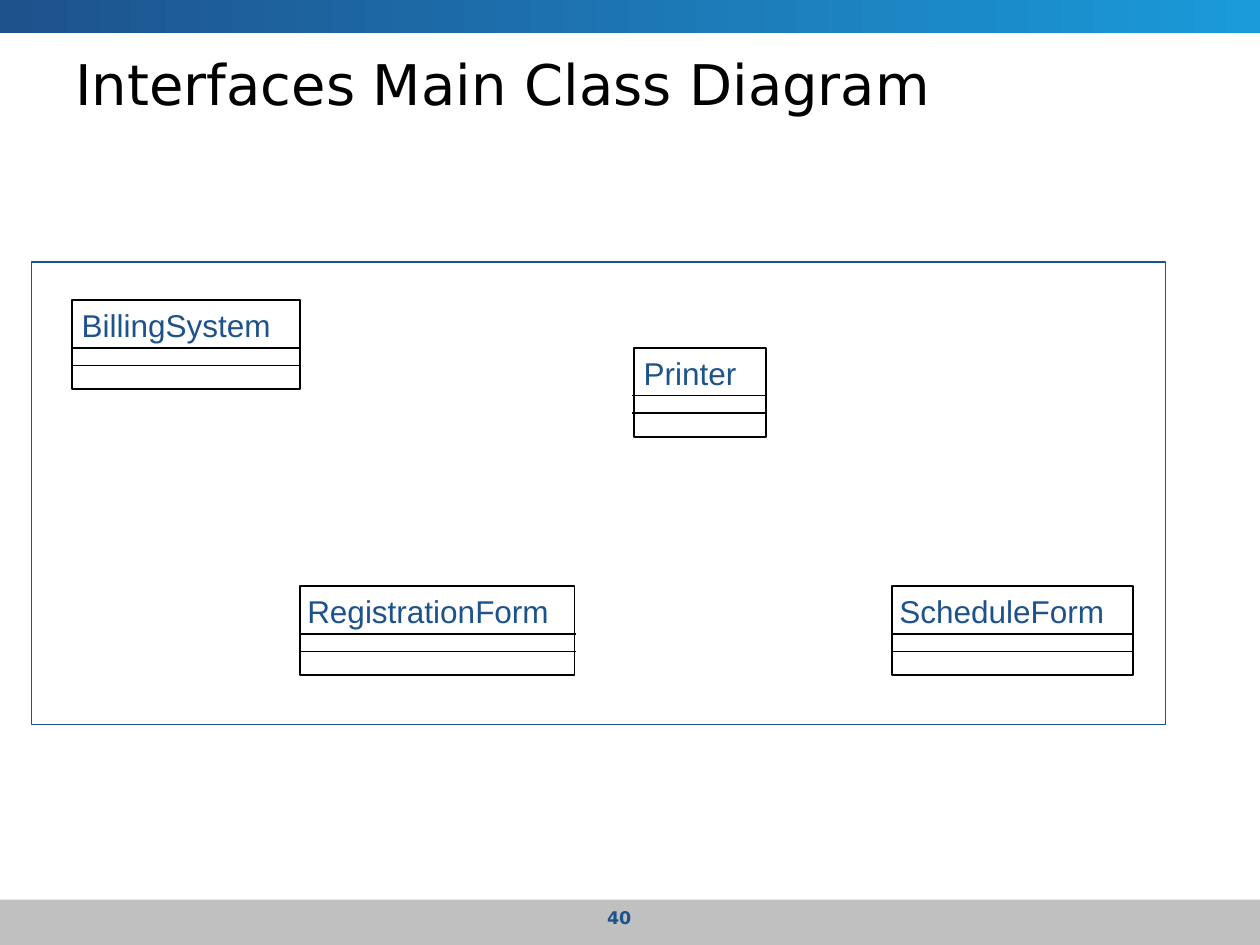
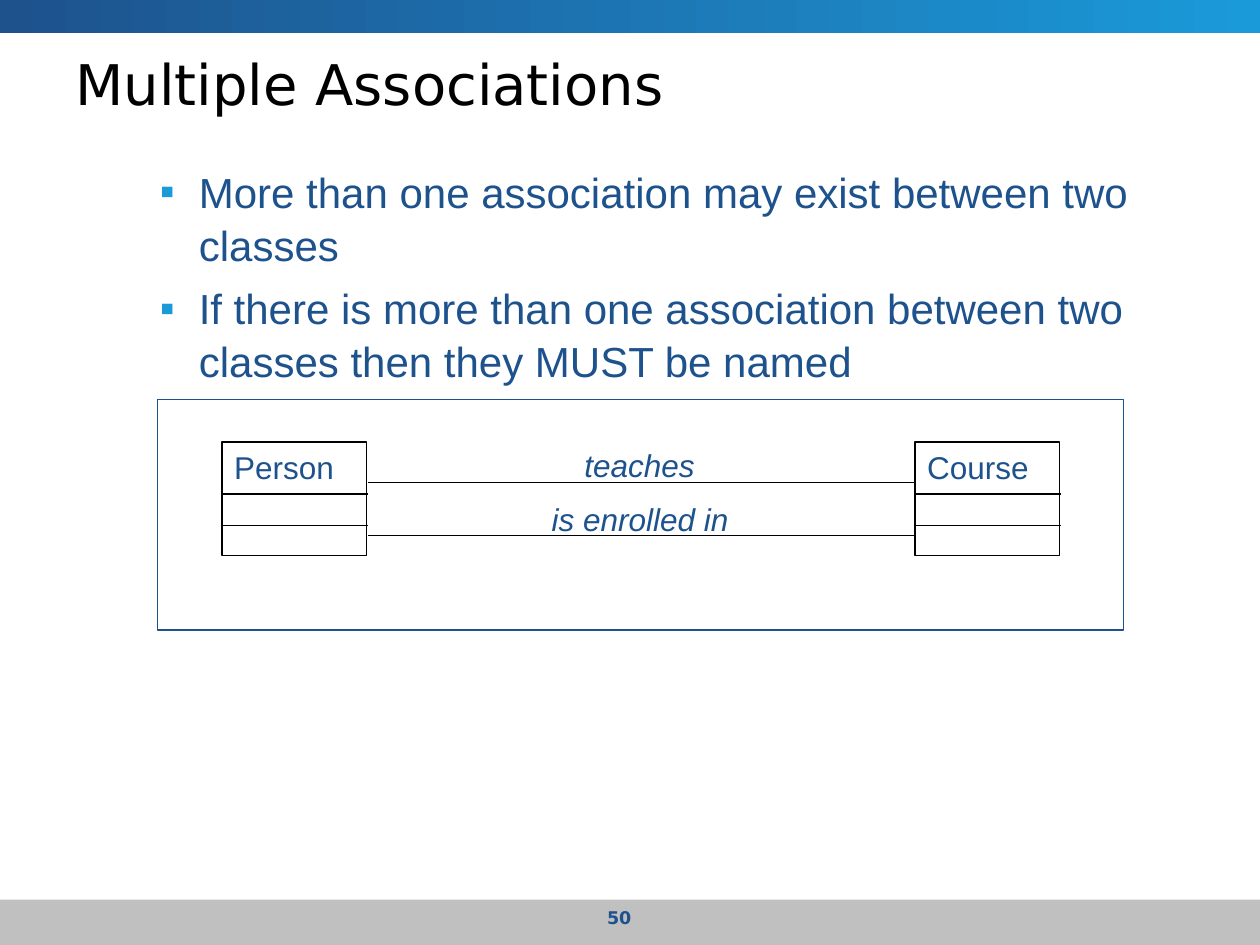
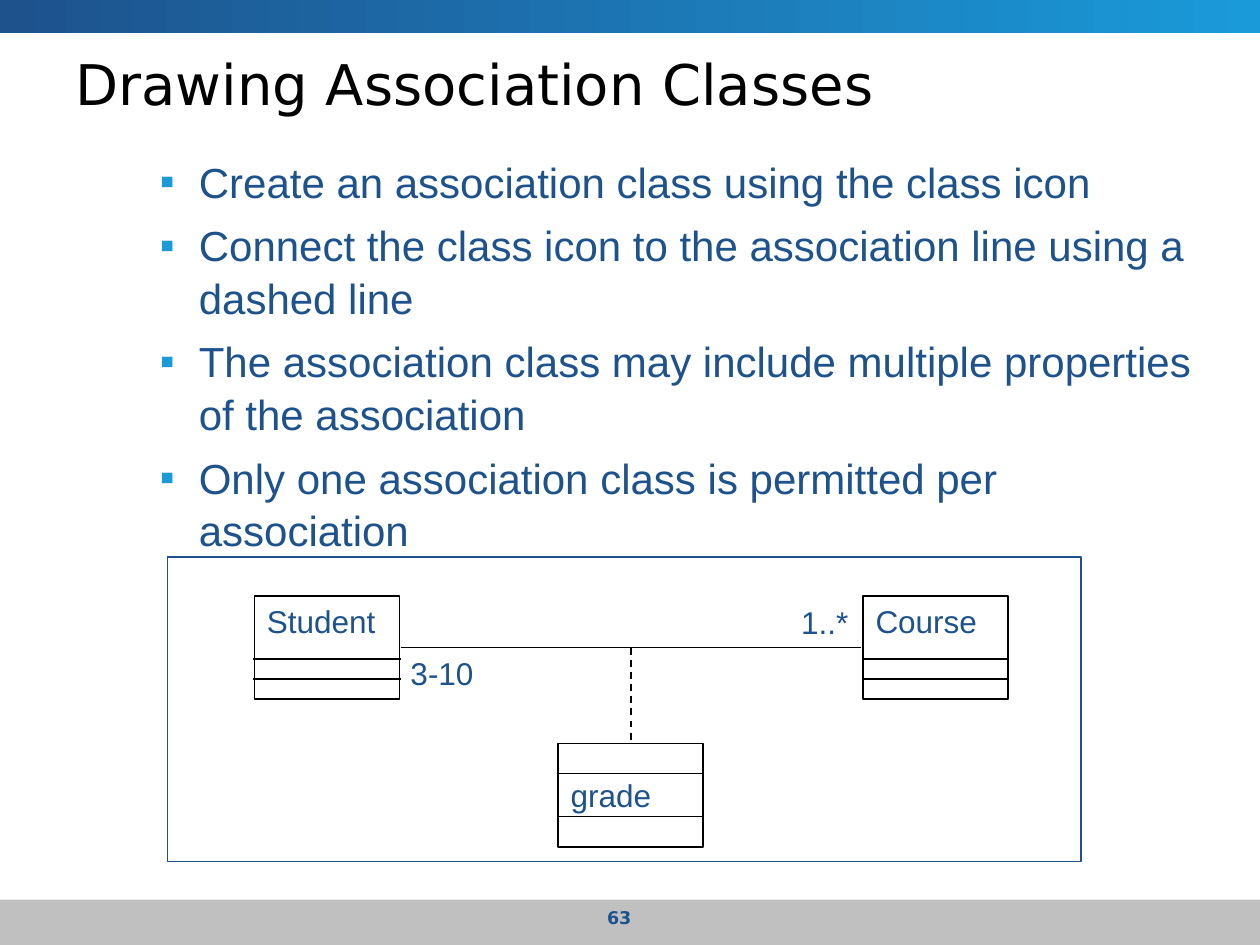
from dataclasses import dataclass

import lxml.etree
import pptx
import pptx.dml.color
import pptx.enum.dml
import pptx.enum.shapes
import pptx.enum.text
import pptx.oxml.ns
import pptx.util

Inches = pptx.util.Inches
Pt = pptx.util.Pt
qn = pptx.oxml.ns.qn
Anchor = pptx.enum.text.MSO_ANCHOR
Align = pptx.enum.text.PP_ALIGN


@dataclass(frozen=True)
class Theme:
    navy: str = "1D528D"
    sky: str = "1B9AD9"
    grey: str = "C0C0C0"
    white: str = "FFFFFF"
    black: str = "000000"
    title_font: str = "DejaVu Sans"
    body_font: str = "Arial"
    title_size: int = 32
    body_size: int = 24
    label_size: int = 18
    number_size: int = 10
    frame_line: float = 0.75
    diagram_line: float = 1


THEME = Theme()


def rgb(value):
    return pptx.dml.color.RGBColor.from_string(value)


# Basic elements
def add_rectangle(slide, left, top, width, height, fill=None, line=None, line_width=1):
    shape = slide.shapes.add_shape(
        pptx.enum.shapes.MSO_SHAPE.RECTANGLE,
        Inches(left), Inches(top), Inches(width), Inches(height))
    shape.shadow.inherit = False
    if fill:
        shape.fill.solid()
        shape.fill.fore_color.rgb = rgb(fill)
    else:
        shape.fill.background()
    if line:
        shape.line.color.rgb = rgb(line)
        shape.line.width = Pt(line_width)
    else:
        shape.line.fill.background()
    return shape


def add_line(slide, start, end, dashed=False):
    connector = slide.shapes.add_connector(
        pptx.enum.shapes.MSO_CONNECTOR.STRAIGHT,
        *(Inches(value) for value in (*start, *end)))
    connector.line.color.rgb = rgb(THEME.black)
    connector.line.width = Pt(THEME.diagram_line)
    if dashed:
        connector.line.dash_style = pptx.enum.dml.MSO_LINE.DASH
    lxml.etree.SubElement(connector._element.spPr, qn("a:effectLst"))


def add_run(paragraph, text, size, font=THEME.body_font, color=THEME.navy,
            bold=False, italic=False):
    run = paragraph.add_run()
    run.text = text
    run.font.name = font
    run.font.size = Pt(size)
    run.font.color.rgb = rgb(color)
    run.font.bold = bold
    run.font.italic = italic


def add_text_box(slide, left, top, width, height, wrap=True, anchor=Anchor.TOP):
    box = slide.shapes.add_textbox(Inches(left), Inches(top), Inches(width), Inches(height))
    box.text_frame.word_wrap = wrap
    box.text_frame.vertical_anchor = anchor
    return box.text_frame


def add_label(slide, text, left, top, width, italic=False):
    frame = add_text_box(slide, left, top, width, 0.4, wrap=False)
    add_run(frame.paragraphs[0], text, THEME.label_size, italic=italic)


# Diagram elements
def add_frame(slide, left, top, width, height):
    add_rectangle(slide, left, top, width, height, THEME.white, THEME.navy, THEME.frame_line)


def add_class_icon(slide, left, top, width, height, dividers, text=None, anchor=Anchor.TOP):
    """Class box with divider lines at the given distances below its top."""
    shape = add_rectangle(slide, left, top, width, height,
                          line=THEME.black, line_width=THEME.diagram_line)
    if text:
        frame = shape.text_frame
        frame.word_wrap = False
        frame.vertical_anchor = anchor
        frame.paragraphs[0].alignment = Align.LEFT
        add_run(frame.paragraphs[0], text, THEME.label_size)
    for offset in dividers:
        y = top + offset
        add_line(slide, (left - 0.01, y), (left + width + 0.01, y))


# Parts every slide shares
def add_slide(presentation, title, number):
    slide = presentation.slides.add_slide(presentation.slide_layouts[6])
    add_rectangle(slide, 0, 7.14, 10, 0.36, THEME.grey)
    band = add_rectangle(slide, 0, 0, 10, 0.26)
    band.fill.gradient()
    band.fill.gradient_angle = 0
    for stop, color in zip(band.fill.gradient_stops, (THEME.navy, THEME.sky)):
        stop.color.rgb = rgb(color)

    heading = add_text_box(slide, 0.5, 0.35, 9, 0.62, anchor=Anchor.MIDDLE)
    add_run(heading.paragraphs[0], title, THEME.title_size, THEME.title_font, THEME.black)

    footer = add_text_box(slide, 3.75, 7.15, 2.33, 0.28)
    footer.paragraphs[0].alignment = Align.CENTER
    add_run(footer.paragraphs[0], str(number), THEME.number_size, THEME.title_font, bold=True)
    return slide


def add_bullets(slide, left, top, width, height, items):
    frame = add_text_box(slide, left, top, width, height)
    for index, item in enumerate(items):
        paragraph = frame.add_paragraph() if index else frame.paragraphs[0]
        properties = paragraph._p.get_or_add_pPr()
        properties.set("marL", str(Inches(0.81)))
        properties.set("indent", str(Inches(-0.31)))
        color = lxml.etree.SubElement(properties, qn("a:buClr"))
        lxml.etree.SubElement(color, qn("a:srgbClr"), val=THEME.sky)
        lxml.etree.SubElement(properties, qn("a:buFont"), typeface=THEME.body_font)
        lxml.etree.SubElement(properties, qn("a:buChar"), char="▪")
        paragraph.line_spacing = 1.05
        if index:
            paragraph.space_before = Pt(6)
        add_run(paragraph, item, THEME.body_size)


# Slides
def build_interfaces(presentation):
    slide = add_slide(presentation, "Interfaces Main Class Diagram", 40)
    add_frame(slide, 0.25, 2.08, 9, 3.67)
    classes = [  # name, left, top, width, label left, label width
        ("BillingSystem", 0.57, 2.38, 1.81, 0.55, 1.7),
        ("Printer", 5.03, 2.76, 1.05, 5.01, 0.94),
        ("RegistrationForm", 2.38, 4.65, 2.18, 2.34, 2.12),
        ("ScheduleForm", 7.08, 4.65, 1.91, 7.04, 1.83),
    ]
    for name, left, top, width, label_left, label_width in classes:
        add_class_icon(slide, left, top, width, 0.71, (0.38, 0.52))
        add_label(slide, name, label_left, top, label_width)


def build_multiple_associations(presentation):
    slide = add_slide(presentation, "Multiple Associations", 50)
    add_frame(slide, 1.25, 3.17, 7.67, 1.83)
    for name, left in (("Person", 1.76), ("Course", 7.26)):
        add_class_icon(slide, left, 3.51, 1.15, 0.9, (0.41, 0.66), name)
    for y in (3.83, 4.25):
        add_line(slide, (2.92, y), (7.25, y))
    add_label(slide, "teaches", 4.54, 3.49, 1.08, italic=True)
    add_label(slide, "is enrolled in", 4.28, 3.92, 1.61, italic=True)
    add_bullets(slide, 0.67, 1.25, 8.67, 5.58, [
        "More than one association may exist between two classes",
        "If there is more than one association between two classes then they MUST be named",
    ])


def build_association_classes(presentation):
    slide = add_slide(presentation, "Drawing Association Classes", 63)
    add_frame(slide, 1.33, 4.42, 7.25, 2.42)
    for name, left in (("Student", 2.02), ("Course", 6.85)):
        add_class_icon(slide, left, 4.73, 1.15, 0.82, (0.5, 0.66), name)
    add_class_icon(slide, 4.43, 5.9, 1.15, 0.82, (0.24, 0.58), "grade", Anchor.MIDDLE)
    add_line(slide, (3.18, 5.14), (6.83, 5.14))
    add_line(slide, (5.01, 5.14), (5.01, 5.89), dashed=True)
    add_label(slide, "1..*", 6.26, 4.74, 0.58)
    add_label(slide, "3-10", 3.16, 5.14, 0.7)
    add_bullets(slide, 0.67, 1.17, 9, 3.42, [
        "Create an association class using the class icon",
        "Connect the class icon to the association line using a dashed line",
        "The association class may include multiple properties of the association",
        "Only one association class is permitted per association",
    ])


def main():
    presentation = pptx.Presentation()
    presentation.slide_width = Inches(10)
    presentation.slide_height = Inches(7.5)
    build_interfaces(presentation)
    build_multiple_associations(presentation)
    build_association_classes(presentation)
    presentation.save("out.pptx")


if __name__ == "__main__":
    main()
